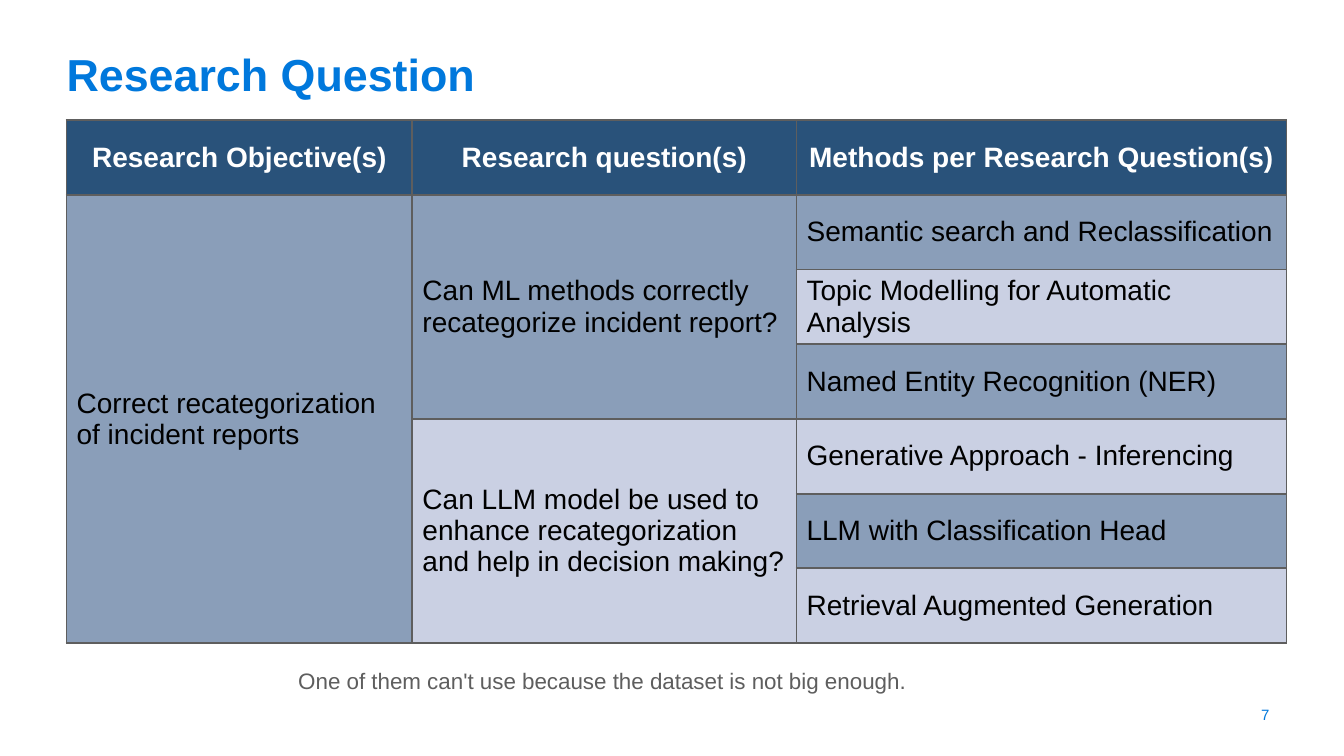
import pptx
import pptx.dml.color
import pptx.enum.text
import pptx.oxml
import pptx.oxml.ns
import pptx.util

RGBColor = pptx.dml.color.RGBColor
ALIGN = pptx.enum.text.PP_ALIGN
ANCHOR = pptx.enum.text.MSO_ANCHOR

PX = pptx.util.Inches(1) // 100
FONT = "Arial"
BLUE = RGBColor(0x00, 0x78, 0xDC)
NAVY = RGBColor(0x29, 0x52, 0x7A)
DARK_BAND = RGBColor(0x8A, 0x9E, 0xB9)
LIGHT_BAND = RGBColor(0xCA, 0xD0, 0xE3)
GREY = RGBColor(0x5E, 0x5E, 0x5E)
WHITE = RGBColor(0xFF, 0xFF, 0xFF)
BLACK = RGBColor(0x00, 0x00, 0x00)

HEADINGS = ["Research Objective(s)", "Research question(s)", "Methods per Research Question(s)"]
OBJECTIVE = "Correct recategorization of incident reports"
QUESTIONS = [
    ("Can ML methods correctly recategorize incident report?",
     ["Semantic search and Reclassification",
      "Topic Modelling for Automatic Analysis",
      "Named Entity Recognition (NER)"]),
    ("Can LLM model be used to enhance recategorization and help in decision making?",
     ["Generative Approach - Inferencing",
      "LLM with Classification Head",
      "Retrieval Augmented Generation"]),
]
COLUMN_WIDTHS = [343, 381, 486]


def write(text_frame, text, size, color, bold=False, align=ALIGN.LEFT):
    paragraph = text_frame.paragraphs[0]
    paragraph.alignment = align
    run = paragraph.add_run()
    run.text = text
    run.font.name = FONT
    run.font.size = pptx.util.Pt(size)
    run.font.bold = bold
    run.font.color.rgb = color
    return paragraph


def clear_margins(text_frame):
    text_frame.margin_left = text_frame.margin_right = 0
    text_frame.margin_top = text_frame.margin_bottom = 0


def add_title(slide, left, top, width, height):
    title = slide.shapes.title
    title.left, title.top = left * PX, top * PX
    title.width, title.height = width * PX, height * PX
    frame = title.text_frame
    clear_margins(frame)
    frame.auto_size = pptx.enum.text.MSO_AUTO_SIZE.NONE
    frame.vertical_anchor = ANCHOR.MIDDLE
    write(frame, "Research Question", 32, BLUE, bold=True).line_spacing = 0.9


def add_borders(cell):
    properties = cell._tc.get_or_add_tcPr()
    for index, side in enumerate(("lnL", "lnR", "lnT", "lnB")):
        properties.insert(index, pptx.oxml.parse_xml(
            f'<a:{side} {pptx.oxml.ns.nsdecls("a")} w="{pptx.util.Pt(1.5)}">'
            f'<a:solidFill><a:srgbClr val="{GREY}"/></a:solidFill></a:{side}>'))


def fill_cell(cell, text, fill, color=BLACK, bold=False, align=ALIGN.LEFT):
    cell.fill.solid()
    cell.fill.fore_color.rgb = fill
    cell.vertical_anchor = ANCHOR.MIDDLE
    write(cell.text_frame, text, 20, color, bold, align)


def add_question_table(slide, left, top, height):
    row_count = 1 + sum(len(methods) for _, methods in QUESTIONS)
    frame = slide.shapes.add_table(row_count, len(COLUMN_WIDTHS), left * PX, top * PX,
                                   sum(COLUMN_WIDTHS) * PX, height * PX)
    table = frame.table
    for column, width in zip(table.columns, COLUMN_WIDTHS):
        column.width = width * PX
    for row in table.rows:
        row.height = height * PX // row_count

    # Header row
    for index, heading in enumerate(HEADINGS):
        fill_cell(table.cell(0, index), heading, NAVY, WHITE, True, ALIGN.CENTER)

    # Objective, its questions and their methods
    bands = [DARK_BAND, LIGHT_BAND]
    table.cell(1, 0).merge(table.cell(row_count - 1, 0))
    fill_cell(table.cell(1, 0), OBJECTIVE, DARK_BAND)
    first = 1
    for (question, methods), band in zip(QUESTIONS, bands):
        table.cell(first, 1).merge(table.cell(first + len(methods) - 1, 1))
        fill_cell(table.cell(first, 1), question, band)
        for row, method in enumerate(methods, first):
            fill_cell(table.cell(row, 2), method, bands[(row - 1) % 2])
        first += len(methods)

    for cell in table.iter_cells():
        add_borders(cell)


def add_note(slide, left, top, width, height):
    note = slide.shapes.add_textbox(left * PX, top * PX, width * PX, height * PX)
    note.text_frame.word_wrap = False
    note.text_frame.auto_size = pptx.enum.text.MSO_AUTO_SIZE.SHAPE_TO_FIT_TEXT
    write(note.text_frame, "One of them can't use because the dataset is not big enough.", 16, GREY)


def add_page_number(slide, left, top, width, height):
    number = slide.shapes.add_textbox(left * PX, top * PX, width * PX, height * PX)
    frame = number.text_frame
    clear_margins(frame)
    frame.word_wrap = True
    frame.vertical_anchor = ANCHOR.BOTTOM
    write(frame, "7", 10.7, BLUE, align=ALIGN.RIGHT)


def main():
    presentation = pptx.Presentation()
    presentation.slide_width, presentation.slide_height = 1333 * PX, 750 * PX
    slide = presentation.slides.add_slide(presentation.slide_layouts[5])
    add_title(slide, 66, 45, 879, 63)
    add_question_table(slide, 66, 119, 519)
    add_page_number(slide, 1207, 673, 52, 45)
    add_note(slide, 286, 657, 637, 37)
    presentation.save("out.pptx")


if __name__ == "__main__":
    main()
